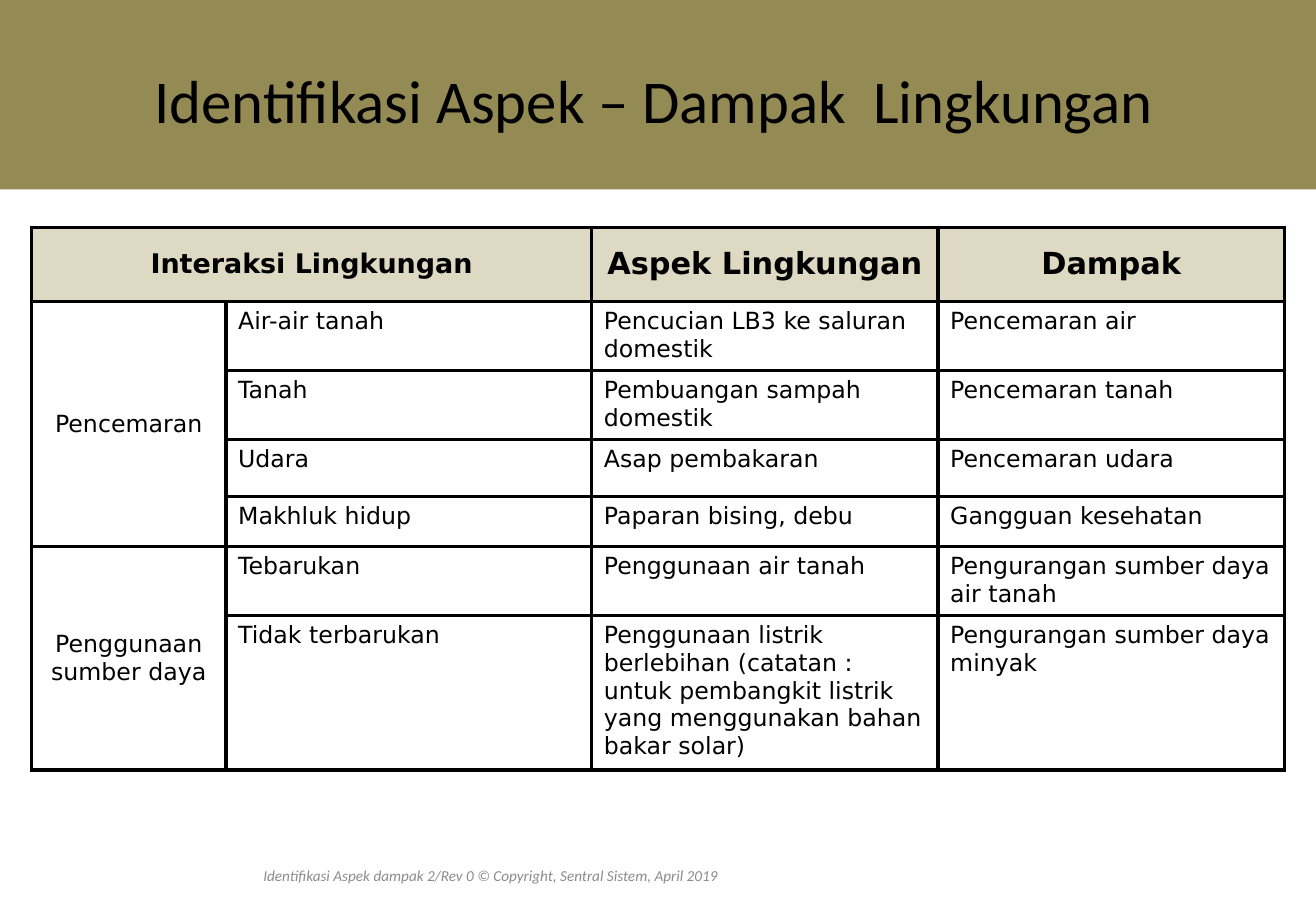
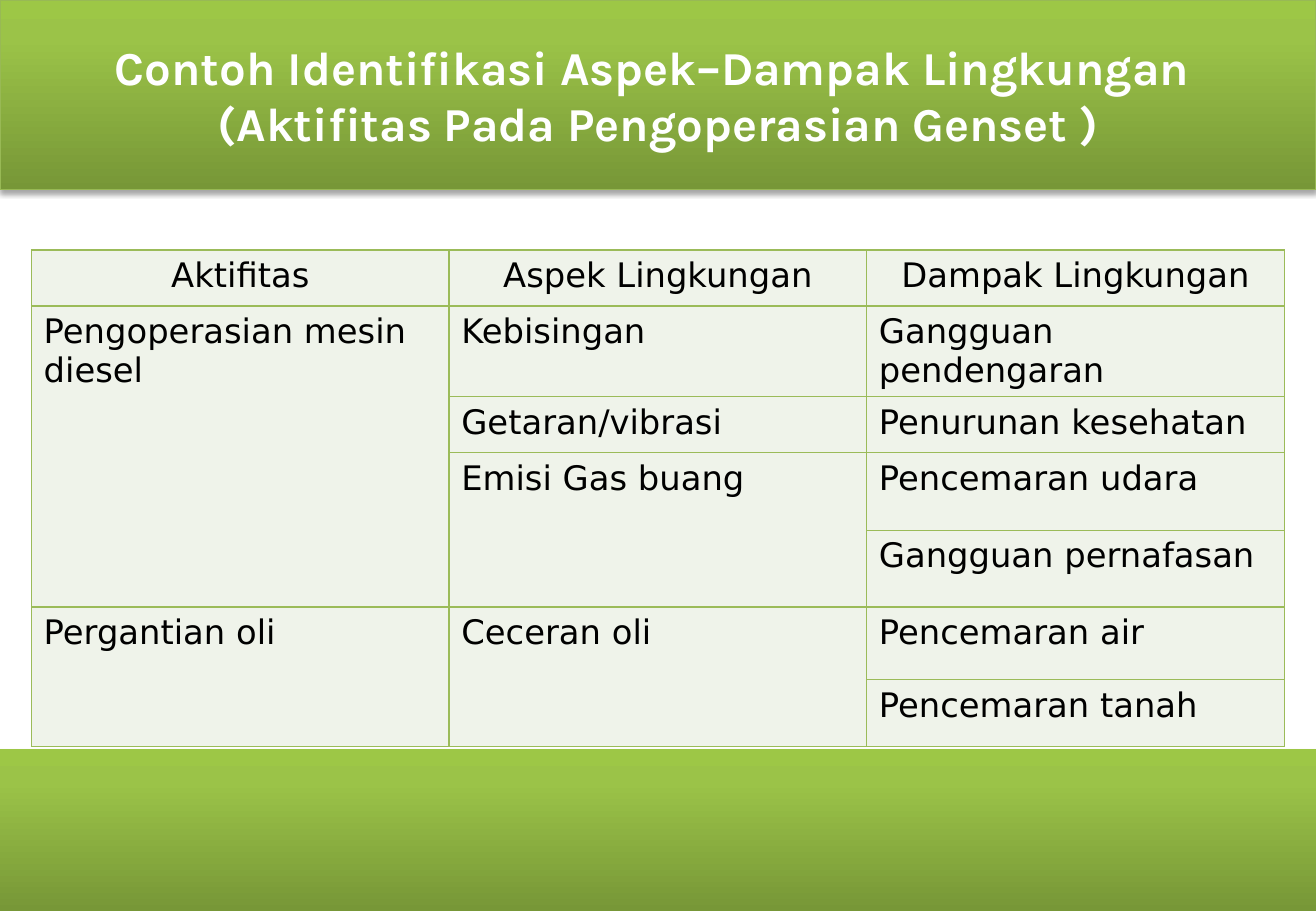
from copy import deepcopy

from lxml import etree
from pptx import Presentation
from pptx.dml.color import RGBColor
from pptx.enum.shapes import MSO_SHAPE
from pptx.enum.text import MSO_ANCHOR, MSO_AUTO_SIZE, PP_ALIGN
from pptx.oxml.ns import qn
from pptx.util import Inches, Pt

RECTANGLE = MSO_SHAPE.RECTANGLE
TOP, MIDDLE = MSO_ANCHOR.TOP, MSO_ANCHOR.MIDDLE
LEFT, CENTER = PP_ALIGN.LEFT, PP_ALIGN.CENTER
NO_AUTOFIT = MSO_AUTO_SIZE.NONE

WIDTH, HEIGHT = 10.83, 7.5
BAND_HEIGHT, BOTTOM_BAND_HEIGHT = 1.56, 1.33
TABLE_LEFT = 0.26
TITLE_ONLY = 5

BLACK, WHITE, GRAY = "000000", "FFFFFF", "8C8C8C"
OLIVE, SAND = "948A54", "DDD9C3"
GREEN_EDGE, GREEN_LINE, PALE_GREEN = "98B955", "9BBB59", "EFF3EA"
GREEN_STOPS = [(0, "779737"), (0.8, "9BC348"), (1, "9DC746")]
TABLE_FONT, FOOTER_FONT = "DejaVu Sans", "Calibri"

FOOTER = "Identifikasi Aspek dampak 2/Rev 0 © Copyright, Sentral Sistem, April 2019"

INTERACTION_TITLE = "Identifikasi Aspek – Dampak  Lingkungan"
INTERACTION_ROWS = [
    ("Interaksi Lingkungan", "", "Aspek Lingkungan", "Dampak"),
    ("Pencemaran", "Air-air tanah", "Pencucian LB3 ke saluran domestik", "Pencemaran air"),
    ("", "Tanah", "Pembuangan sampah domestik", "Pencemaran tanah"),
    ("", "Udara", "Asap pembakaran", "Pencemaran udara"),
    ("", "Makhluk hidup", "Paparan bising, debu", "Gangguan kesehatan"),
    ("Penggunaan sumber daya", "Tebarukan", "Penggunaan air tanah",
     "Pengurangan sumber daya air tanah"),
    ("", "Tidak terbarukan",
     "Penggunaan listrik berlebihan (catatan : untuk pembangkit listrik "
     "yang menggunakan bahan bakar solar)",
     "Pengurangan sumber daya minyak"),
]
INTERACTION_MERGES = [((0, 0), (0, 1)), ((1, 0), (4, 0)), ((5, 0), (6, 0))]
INTERACTION_COLUMNS = [1.6, 3.01, 2.85, 2.85]
INTERACTION_HEIGHTS = [0.61, 0.57, 0.57, 0.47, 0.41, 0.57, 1.27]

GENSET_TITLE = ("Contoh Identifikasi Aspek–Dampak Lingkungan \n"
                "(Aktifitas Pada Pengoperasian Genset )")
GENSET_ROWS = [
    ("Aktifitas", "Aspek Lingkungan", "Dampak Lingkungan"),
    ("Pengoperasian mesin diesel", "Kebisingan", "Gangguan pendengaran"),
    ("", "Getaran/vibrasi", "Penurunan kesehatan"),
    ("", "Emisi Gas buang", "Pencemaran udara"),
    ("", "", "Gangguan pernafasan"),
    ("Pergantian oli", "Ceceran oli", "Pencemaran air"),
    ("", "", "Pencemaran tanah"),
]
GENSET_MERGES = [((1, 0), (4, 0)), ((3, 1), (4, 1)), ((5, 0), (6, 0)), ((5, 1), (6, 1))]
GENSET_COLUMNS = [10.31 / 3] * 3
GENSET_HEIGHTS = [0.46, 0.46, 0.46, 0.64, 0.63, 0.6, 0.55]


def rgb(color):
    return RGBColor.from_string(color)


def write(frame, text, *, size, font, color=BLACK, bold=False, italic=False, align=LEFT):
    """Fill a text frame, one paragraph per line of text."""
    frame.word_wrap = True
    for index, line in enumerate(text.split("\n")):
        para = frame.paragraphs[0] if index == 0 else frame.add_paragraph()
        para.alignment = align
        span = para.add_run()
        span.text = line
        span.font.size = Pt(size)
        span.font.name = font
        span.font.bold = bold
        span.font.italic = italic
        span.font.color.rgb = rgb(color)


def place(shape, left, top, width, height):
    shape.left, shape.top = Inches(left), Inches(top)
    shape.width, shape.height = Inches(width), Inches(height)


def fill_green(shape):
    """Give a band its green gradient and soft shadow."""
    shape.fill.gradient()
    shape.fill.gradient_angle = 90
    stop_list = shape._element.spPr.find(".//" + qn("a:gsLst"))
    stop_list.append(deepcopy(stop_list[0]))
    for stop, (position, color) in zip(shape.fill.gradient_stops, GREEN_STOPS):
        stop.position = position
        stop.color.rgb = rgb(color)
    shape.shadow.inherit = False
    effects = shape._element.spPr.find(qn("a:effectLst"))
    shadow = etree.SubElement(effects, qn("a:outerShdw"), blurRad=str(Pt(3.1)),
                              dist=str(Pt(1.8)), dir="5400000", rotWithShape="0")
    tint = etree.SubElement(shadow, qn("a:srgbClr"), val=BLACK)
    etree.SubElement(tint, qn("a:alpha"), val="35000")


def add_title_band(page, text, **style):
    title = page.shapes.title
    place(title, 0, 0, WIDTH, BAND_HEIGHT)
    title.text_frame.auto_size = NO_AUTOFIT
    title.text_frame.vertical_anchor = MIDDLE
    write(title.text_frame, text, align=CENTER, **style)
    return title


def add_footer(page):
    box = page.shapes.add_textbox(Inches(0.1), Inches(7.01), Inches(7.87), Inches(0.4))
    box.text_frame.vertical_anchor = MIDDLE
    write(box.text_frame, FOOTER, size=9, font=FOOTER_FONT, color=GRAY,
          italic=True, align=CENTER)


def set_borders(cell, color, points):
    properties = cell._tc.get_or_add_tcPr()
    for side in ("a:lnL", "a:lnR", "a:lnT", "a:lnB"):
        line = etree.SubElement(properties, qn(side), w=str(Pt(points)))
        solid = etree.SubElement(line, qn("a:solidFill"))
        etree.SubElement(solid, qn("a:srgbClr"), val=color)


def add_grid(page, rows, merges, columns, heights, top, border, cell_style):
    """Add a table; cell_style(row, column) gives fill, anchor and text format."""
    frame = page.shapes.add_table(len(rows), len(columns), Inches(TABLE_LEFT), Inches(top),
                                  Inches(sum(columns)), Inches(sum(heights)))
    table = frame.table
    table.first_row = table.horz_banding = False
    for column, width in zip(table.columns, columns):
        column.width = Inches(width)
    for row, height in zip(table.rows, heights):
        row.height = Inches(height)
    for first, last in merges:
        table.cell(*first).merge(table.cell(*last))
    for row_index, texts in enumerate(rows):
        for column_index, text in enumerate(texts):
            cell = table.cell(row_index, column_index)
            fill, anchor, text_format = cell_style(row_index, column_index)
            set_borders(cell, *border)
            if fill:
                cell.fill.solid()
                cell.fill.fore_color.rgb = rgb(fill)
            else:
                cell.fill.background()
            cell.vertical_anchor = anchor
            if text:
                write(cell.text_frame, text, font=TABLE_FONT, **text_format)


def interaction_style(row, column):
    if row == 0:
        size = 16 if column == 0 else 18
        return SAND, MIDDLE, {"size": size, "bold": True, "align": CENTER}
    if column == 0:
        return None, MIDDLE, {"size": 14, "align": CENTER}
    return None, TOP, {"size": 14}


def genset_style(row, column):
    return PALE_GREEN, TOP, {"size": 20, "align": LEFT if row else CENTER}


def build_interaction_page(page):
    title = add_title_band(page, INTERACTION_TITLE, size=36, font="Calibri")
    title.text_frame.margin_top = Inches(0.13)
    title.text_frame.margin_right = Inches(0.17)
    title.fill.solid()
    title.fill.fore_color.rgb = rgb(OLIVE)
    add_grid(page, INTERACTION_ROWS, INTERACTION_MERGES, INTERACTION_COLUMNS,
             INTERACTION_HEIGHTS, 1.87, (BLACK, 2.25), interaction_style)
    add_footer(page)


def build_genset_page(page):
    title = add_title_band(page, GENSET_TITLE, size=28, font="Karla", color=WHITE, bold=True)
    title.line.color.rgb = rgb(GREEN_EDGE)
    title.line.width = Pt(0.75)
    fill_green(title)
    bottom_band = page.shapes.add_shape(RECTANGLE, 0, 0, 0, 0)
    place(bottom_band, 0, HEIGHT - BOTTOM_BAND_HEIGHT, WIDTH, BOTTOM_BAND_HEIGHT)
    bottom_band.line.fill.background()
    fill_green(bottom_band)
    add_grid(page, GENSET_ROWS, GENSET_MERGES, GENSET_COLUMNS, GENSET_HEIGHTS,
             2.06, (GREEN_LINE, 1), genset_style)


def main():
    deck = Presentation()
    deck.slide_width, deck.slide_height = Inches(WIDTH), Inches(HEIGHT)
    for build in (build_interaction_page, build_genset_page):
        build(deck.slides.add_slide(deck.slide_layouts[TITLE_ONLY]))
    deck.save("out.pptx")


if __name__ == "__main__":
    main()
